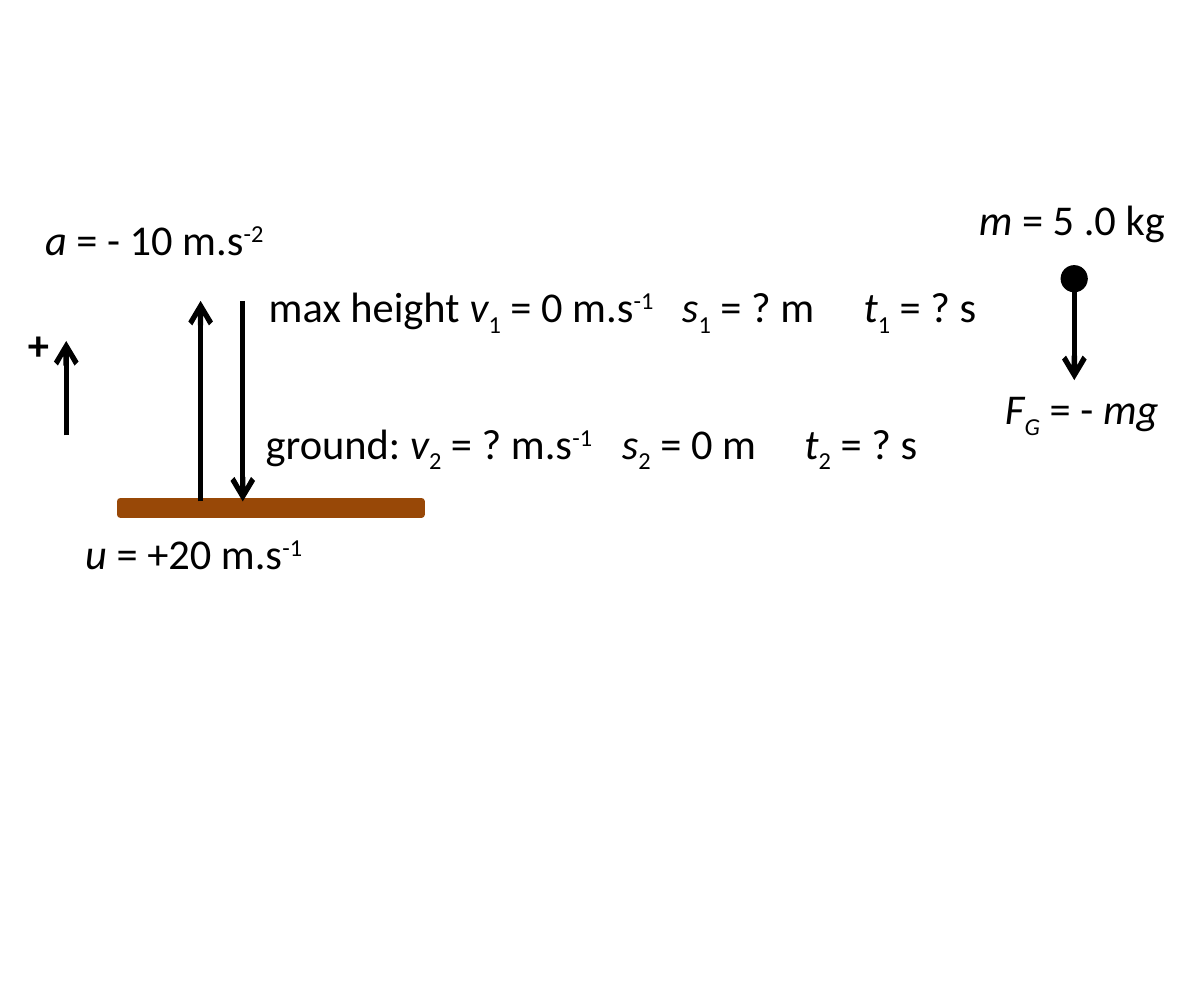
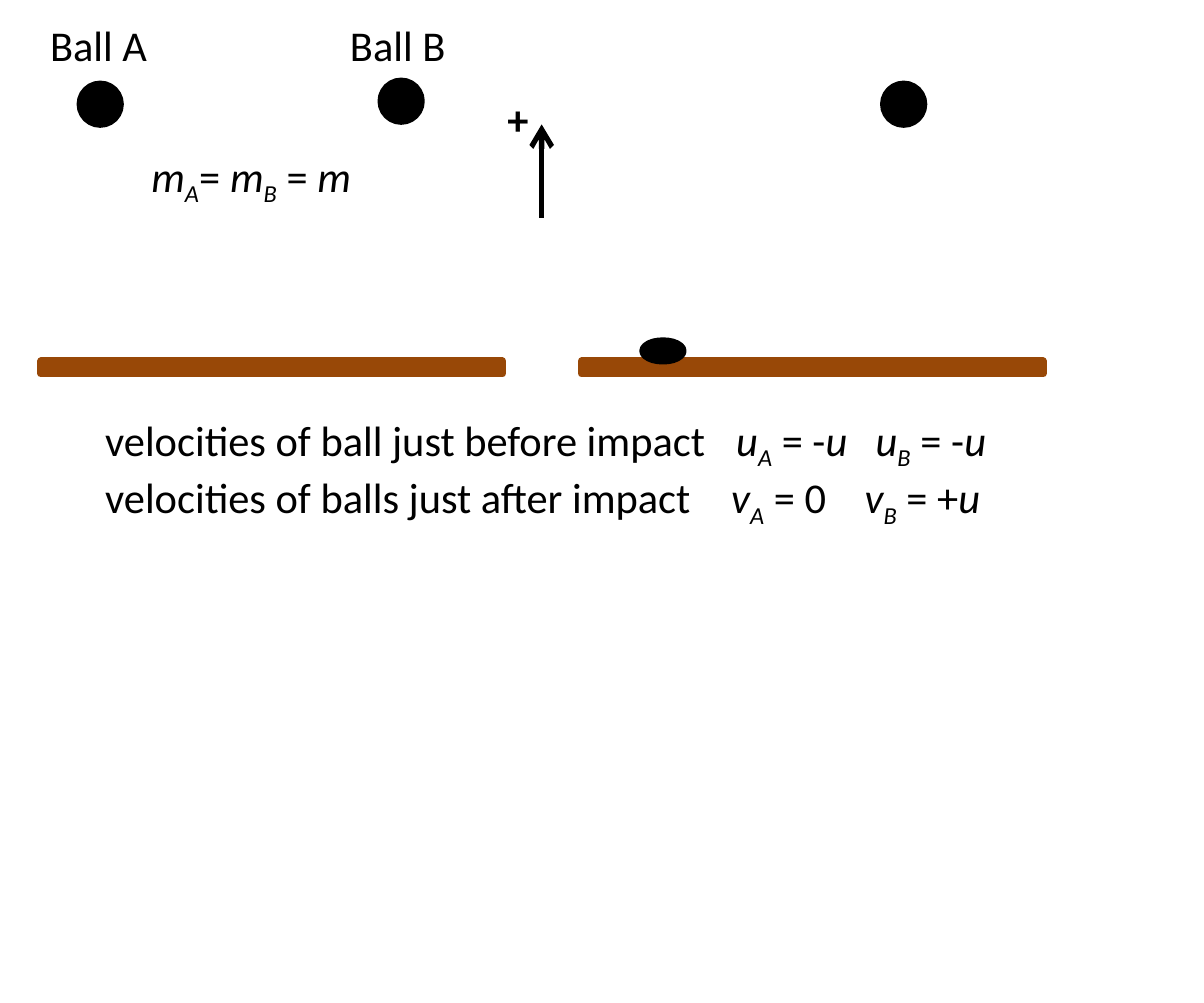
from collections import namedtuple

from lxml.etree import SubElement
from pptx import Presentation
from pptx.dml.color import RGBColor
from pptx.enum.shapes import MSO_CONNECTOR, MSO_SHAPE
from pptx.enum.text import PP_ALIGN
from pptx.oxml.ns import qn
from pptx.util import Cm, Pt

COLORS = {"ink": "000000", "earth": "984807"}
FONT = "Calibri"
FONT_SIZE = 12
SHAPE_LINE = 2
ARROW_LINE = 1.5
GROUND_HEIGHT = 0.13
BASELINES = {"sub": "-25000", "sup": "30000"}

Ground = namedtuple("Ground", "left top width")
Ball = namedtuple("Ball", "center_x center_y width height")
Arrow = namedtuple("Arrow", "x start tip")
Text = namedtuple("Text", "left top width height paragraphs tab_stops", defaults=[()])

PLUS = [[("+", "bold")]]


def stage(place, index, speed, displacement):
    return [
        (place, ""), ("v", "italic"), (index, "sub"), (f" = {speed} m.s", ""), ("-1", "sup"),
        ("\t", ""), ("s", "italic"), (index, "sub"), (f" = {displacement} m", ""),
        ("\t", ""), ("t", "italic"), (index, "sub"), (" = ? s", ""),
    ]


SLIDES = [
    {
        "grounds": [Ground(1.2, 5, 3)],
        "balls": [Ball(10.71, 2.78, 0.2, 0.2)],
        "arrows": [Arrow(2, 5, 3), Arrow(2.42, 3, 5), Arrow(0.66, 4.34, 3.4),
                   Arrow(10.71, 2.84, 3.79)],
        "texts": [
            Text(0.6, 5.13, 2.74, 0.76,
                 [[("u", "italic"), (" = +20 m.s", ""), ("-1", "sup")]]),
            Text(0.03, 3.05, 0.74, 0.64, PLUS),
            Text(0.2, 2, 2.74, 0.76,
                 [[("a", "italic"), (" = - 10 m.s", ""), ("-2", "sup")]]),
            Text(2.43, 2.67, 7.75, 0.76, [stage("max height ", "1", "0", "?")],
                 [(4.12, 5.93)]),
            Text(2.4, 4.03, 7.37, 0.76, [stage("ground: ", "2", "?", "0")],
                 [(3.55, 5.37)]),
            Text(9.77, 3.69, 2.06, 0.76,
                 [[("F", "italic"), ("G", "italic sub"), (" = - ", ""), ("mg", "italic")]]),
            Text(9.51, 1.8, 2.39, 0.76, [[("m", "italic"), (" = 5 .0 kg", "")]]),
        ],
    },
    {
        "grounds": [Ground(0.41, 3.6, 4.6), Ground(5.8, 3.6, 4.6)],
        "balls": [Ball(1, 1.04, 0.4, 0.4), Ball(4, 1.01, 0.4, 0.4),
                  Ball(9.01, 1.04, 0.4, 0.4), Ball(6.61, 3.5, 0.4, 0.2)],
        "arrows": [Arrow(5.4, 2.17, 1.24)],
        "texts": [
            Text(4.81, 0.8, 0.74, 0.64, PLUS),
            Text(0.25, 0.07, 1.5, 0.76, [[("Ball A", "")]]),
            Text(3.24, 0.07, 1.48, 0.76, [[("Ball B", "")]]),
            Text(0.8, 4, 9.6, 1.27, [
                [("velocities of ball just before impact", ""),
                 ("\t", ""), ("u", "italic"), ("A", "italic sub"), (" = -", ""), ("u", "italic"),
                 ("\t", ""), ("u", "italic"), ("B", "italic sub"), (" = -", ""), ("u", "italic")],
                [("velocities of balls just after impact", ""),
                 ("\t", ""), ("v", "italic"), ("A", "italic sub"), (" = 0", ""),
                 ("\t", ""), ("v", "italic"), ("B", "italic sub"), (" = +", ""), ("u", "italic")],
            ], [(6.29, 7.68), (6.24, 7.57)]),
            Text(1.26, 1.37, 2.57, 0.76,
                 [[("m", "italic"), ("A", "italic sub"), ("= ", ""), ("m", "italic"),
                   ("B", "italic sub"), (" = ", ""), ("m", "italic")]]),
        ],
    },
]


def color(name):
    return RGBColor.from_string(COLORS[name])


def add_solid(slide, kind, left, top, width, height, color_name):
    shape = slide.shapes.add_shape(kind, Cm(left), Cm(top), Cm(width), Cm(height))
    shape.shadow.inherit = False
    shape.fill.solid()
    shape.fill.fore_color.rgb = color(color_name)
    shape.line.color.rgb = color(color_name)
    shape.line.width = Pt(SHAPE_LINE)


def add_ground(slide, ground):
    add_solid(slide, MSO_SHAPE.RECTANGLE, ground.left, ground.top,
              ground.width, GROUND_HEIGHT, "earth")


def add_ball(slide, ball):
    add_solid(slide, MSO_SHAPE.OVAL, ball.center_x - ball.width / 2,
              ball.center_y - ball.height / 2, ball.width, ball.height, "ink")


def add_arrow(slide, arrow):
    connector = slide.shapes.add_connector(
        MSO_CONNECTOR.STRAIGHT, Cm(arrow.x), Cm(arrow.start), Cm(arrow.x), Cm(arrow.tip))
    connector.line.color.rgb = color("ink")
    connector.line.width = Pt(ARROW_LINE)
    properties = connector._element.spPr
    SubElement(properties.find(qn("a:ln")), qn("a:tailEnd"), type="arrow")
    SubElement(properties, qn("a:effectLst"))


def add_run(paragraph, text, style):
    run = paragraph.add_run()
    run.text = text
    font = run.font
    font.name = FONT
    font.size = Pt(FONT_SIZE)
    font.color.rgb = color("ink")
    font.bold = "bold" in style
    font.italic = "italic" in style
    for name, baseline in BASELINES.items():
        if name in style:
            run._r.get_or_add_rPr().set("baseline", baseline)


def add_text(slide, text):
    box = slide.shapes.add_textbox(
        Cm(text.left), Cm(text.top), Cm(text.width), Cm(text.height))
    frame = box.text_frame
    frame.word_wrap = bool(text.tab_stops)
    for number, runs in enumerate(text.paragraphs):
        paragraph = frame.add_paragraph() if number else frame.paragraphs[0]
        paragraph.alignment = PP_ALIGN.LEFT
        if text.tab_stops:
            tabs = SubElement(paragraph._p.get_or_add_pPr(), qn("a:tabLst"))
            for position in text.tab_stops[number]:
                SubElement(tabs, qn("a:tab"), pos=str(int(Cm(position))), algn="l")
        for words, style in runs:
            add_run(paragraph, words, style)


presentation = Presentation()
presentation.slide_width = Pt(340.25)
presentation.slide_height = Pt(283.5)
blank_layout = presentation.slide_layouts[6]

for content in SLIDES:
    slide = presentation.slides.add_slide(blank_layout)
    for ground in content["grounds"]:
        add_ground(slide, ground)
    for ball in content["balls"]:
        add_ball(slide, ball)
    for arrow in content["arrows"]:
        add_arrow(slide, arrow)
    for text in content["texts"]:
        add_text(slide, text)

presentation.save("out.pptx")
